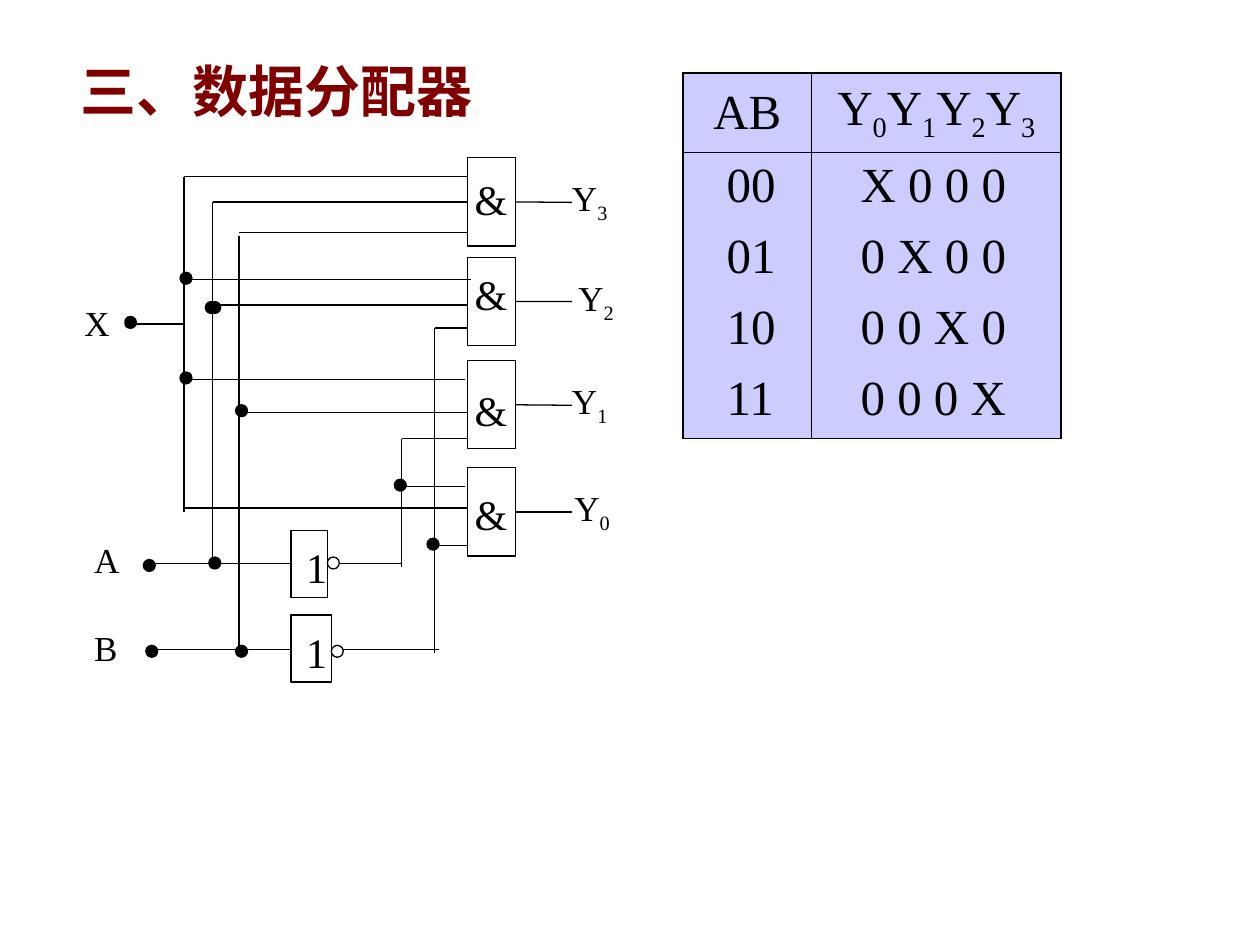
from dataclasses import dataclass

from lxml import etree
from pptx import Presentation
from pptx import util as u
from pptx.dml.color import RGBColor
from pptx.enum import shapes, text
from pptx.oxml import ns

Cm, Pt = u.Cm, u.Pt
RECT, OVAL = shapes.MSO_SHAPE.RECTANGLE, shapes.MSO_SHAPE.OVAL
ALIGN = text.PP_ALIGN


@dataclass(frozen=True)
class Theme:
    font: str = "Times New Roman"
    ink: RGBColor = RGBColor(0, 0, 0)
    paper: RGBColor = RGBColor(255, 255, 255)
    head: RGBColor = RGBColor(0x80, 0, 0)
    cell: RGBColor = RGBColor(0xCC, 0xCC, 0xFF)
    title: int = 32
    body: int = 28
    sign: int = 24
    label: int = 20
    line: float = 0.75
    rule: float = 1


T = Theme()
DOT = 0.24
TAP = 9.83  # where the output wires end

# label, gate top, label place, top of the & sign
GATES = [
    ("Y3", 0, (9.83, 0.38), 0.2),
    ("Y2", 2.01, (9.96, 2.39), 2.11),
    ("Y1", 4.09, (9.83, 4.47), 4.45),
    ("Y0", 6.25, (9.88, 6.63), 6.55),
]
# top, width, bubble place, top of the 1 sign
NOTS = [(7.52, 0.74, (4.9, 8.05), 7.62), (9.22, 0.81, (4.98, 9.83), 9.32)]
INPUTS = [("X", 0, 2.9), ("A", 0.2, 7.67), ("B", 0.2, 9.45)]
ROWS = [(0.38, 2.01, 7.72), (7.06, 2.01, 7.72), (2.46, 2.01, 7.8),
        (4.47, 2.01, 7.67), (3.35, 1.04, 2.01), (1.5, 3.12, 7.72),
        (2.97, 2.59, 7.72), (5.13, 3.12, 7.72), (3.43, 7.06, 7.72),
        (7.82, 7.06, 7.72), (5.66, 6.4, 7.72), (6.63, 6.4, 7.67),
        (8.18, 1.24, 6.4), (9.91, 1.32, 7.14)]  # y, from x, to x
COLS = [(2.01, 0.38, 7.14), (2.59, 0.89, 8.18), (3.12, 1.57, 9.91),
        (7.06, 3.43, 9.98), (6.4, 5.66, 8.26)]  # x, from y, to y
DOTS = [(6.25, 6.48), (2.51, 2.9), (3.05, 4.98), (6.91, 7.67),
        (2.51, 8.05), (3.05, 9.83), (2.44, 2.9), (1.24, 9.83),
        (0.81, 3.2), (1.19, 8.1), (1.93, 2.31), (1.93, 4.32)]
TRUTH = ["00\tX 0 0 0", "01\t0 X 0 0", "10\t0 0 X 0", "11\t0 0 0 X"]


def apply(obj, form):
    for key, val in form.items():
        setattr(obj, key, val)


def write(par, words, size, color=T.ink, bold=False, sub=False):
    """Fill a paragraph; with sub, digits are set as subscripts."""
    for bit in words if sub else [words]:
        run = par.add_run()
        run.text = bit
        apply(run.font, dict(name=T.font, size=Pt(size), bold=bold))
        run.font.color.rgb = color
        if sub and bit.isdigit():
            run._r.get_or_add_rPr().set("baseline", "-25000")


def ink(line):
    line.color.rgb, line.width = T.ink, Pt(T.line)


class Board:
    """A group of drawn items, placed in cm from its box corner."""

    def __init__(self, slide, left, top):
        self.group = slide.shapes.add_group_shape().shapes
        self.left, self.top = left, top

    def at(self, x, y):
        return Cm(self.left + x), Cm(self.top + y)

    def shape(self, kind, x, y, w, h, fill=T.paper, edge=True):
        item = self.group.add_shape(kind, *self.at(x, y), Cm(w), Cm(h))
        item.shadow.inherit = False
        item.fill.solid()
        item.fill.fore_color.rgb = fill
        if edge:
            ink(item.line)
        else:
            item.line.fill.background()
        return item

    def wire(self, x1, y1, x2, y2):
        item = self.group.add_connector(
            shapes.MSO_CONNECTOR.STRAIGHT, *self.at(x1, y1), *self.at(x2, y2))
        ink(item.line)
        etree.SubElement(item._element.spPr, ns.qn("a:effectLst"))
        return item

    def label(self, words, x, y):
        item = self.shape(RECT, x, y, 0.81, 1.04, edge=False)
        frame = item.text_frame
        apply(frame, dict(margin_left=0, margin_top=0, margin_right=0,
                          margin_bottom=0, word_wrap=True,
                          vertical_anchor=text.MSO_ANCHOR.TOP))
        par = frame.paragraphs[0]
        par.alignment = ALIGN.JUSTIFY
        write(par, words, T.label, sub=True)
        return item

    def sign(self, words, x, y, w):
        item = self.group.add_textbox(*self.at(x, y), Cm(w), Cm(1.27))
        grow(item.text_frame)
        write(item.text_frame.paragraphs[0], words, T.sign)


def grow(frame):
    apply(frame, dict(word_wrap=True,
                      auto_size=text.MSO_AUTO_SIZE.SHAPE_TO_FIT_TEXT))


def gate(board, name, top, spot, sign):
    box = board.shape(RECT, 7.72, top, 0.98, 1.78)
    tag = board.label(name, *spot)
    out = board.wire(8.7, top + 0.89, TAP, top + 0.89)
    out.begin_connect(box, 3)
    if spot[0] == TAP:
        out.end_connect(tag, 1)
    board.sign("&", 7.62, sign, 1.07)
    return box


def negate(board, top, width, spot, sign):
    board.shape(RECT, 4.17, top, width, 1.35)
    board.shape(OVAL, *spot, DOT, DOT)
    board.sign("1", 4.22, sign, 0.84)


def circuit(slide, left, top):
    board = Board(slide, left, top)
    boxes = [gate(board, *row) for row in GATES]
    board.wire(2.59, 0.89, 7.72, 0.89).end_connect(boxes[0], 1)
    for y, x1, x2 in ROWS:
        board.wire(x1, y, x2, y)
    for x, y1, y2 in COLS:
        board.wire(x, y1, x, y2)
    for row in NOTS:
        negate(board, *row)
    for x, y in DOTS:
        board.shape(OVAL, x, y, DOT, DOT, T.ink)
    for row in INPUTS:
        board.label(*row)


def heading(slide, left, top, width, height):
    item = slide.shapes.title
    apply(item, dict(left=Cm(left), top=Cm(top), width=Cm(width),
                     height=Cm(height)))
    grow(item.text_frame)
    item.text_frame.vertical_anchor = text.MSO_ANCHOR.TOP
    par = item.text_frame.paragraphs[0]
    par.alignment = ALIGN.LEFT
    write(par, "三、数据分配器", T.title, T.head, bold=True)


def border(cell):
    props = cell._tc.get_or_add_tcPr()
    for spot, side in enumerate(("lnL", "lnR", "lnT", "lnB")):
        line = etree.Element(ns.qn("a:" + side), w=str(Pt(T.rule)))
        fill = etree.SubElement(line, ns.qn("a:solidFill"))
        etree.SubElement(fill, ns.qn("a:srgbClr"), val=str(T.ink))
        props.insert(spot, line)


def truth(slide, left, top):
    """Table frame with its header, and the tabbed values over its body."""
    grid = slide.shapes.add_table(
        2, 2, Cm(left), Cm(top), Cm(7.62), Cm(7.22)).table
    apply(grid, dict(first_row=False, horz_banding=False))
    for col, width in zip(grid.columns, (2.59, 5.03)):
        col.width = Cm(width)
    for row, height in zip(grid.rows, (1.45, 5.77)):
        row.height = Cm(height)
    for cell in grid.iter_cells():
        cell.fill.solid()
        cell.fill.fore_color.rgb = T.cell
        border(cell)
    for cell, words in zip(grid.rows[0].cells, ("AB", "Y0Y1Y2Y3")):
        cell.vertical_anchor = text.MSO_ANCHOR.MIDDLE
        par = cell.text_frame.paragraphs[0]
        apply(par, dict(alignment=ALIGN.CENTER, space_before=Pt(6)))
        write(par, words, T.body, sub=words != "AB")

    frame = slide.shapes.add_textbox(
        Cm(left + 0.63), Cm(top + 1.5), Cm(6.55), Cm(5.72)).text_frame
    grow(frame)
    for i, words in enumerate(TRUTH):
        par = frame.add_paragraph() if i else frame.paragraphs[0]
        par.space_before = Pt(7)
        tabs = etree.SubElement(par._p.get_or_add_pPr(), ns.qn("a:tabLst"))
        etree.SubElement(tabs, ns.qn("a:tab"), pos=str(Cm(2.7)), algn="l")
        write(par, words, T.body)


def main():
    deck = Presentation()
    apply(deck, dict(slide_width=Cm(25.4), slide_height=Cm(19.05)))
    slide = deck.slides.add_slide(deck.slide_layouts[5])
    heading(slide, 1.37, 1.02, 12.8, 1.6)
    circuit(slide, 1.7, 3.18)
    truth(slide, 13.77, 1.47)
    deck.save("out.pptx")


if __name__ == "__main__":
    main()
